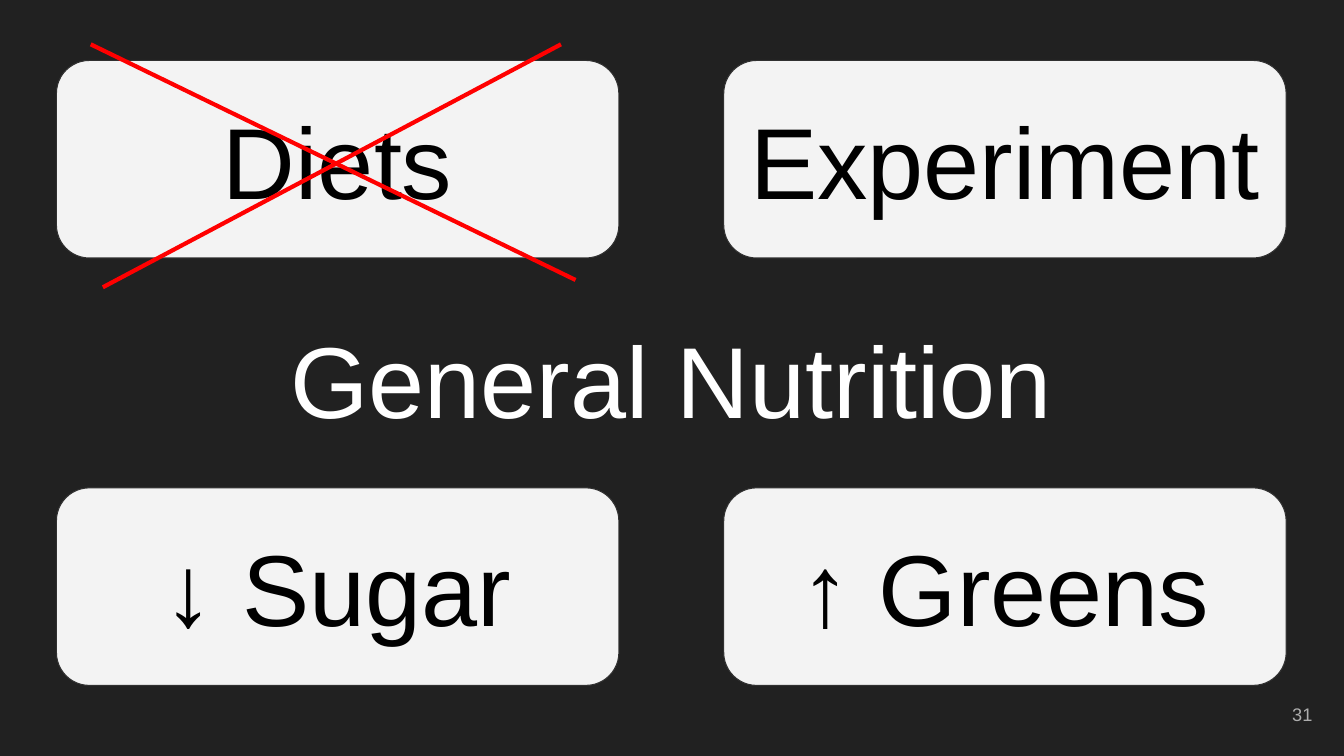
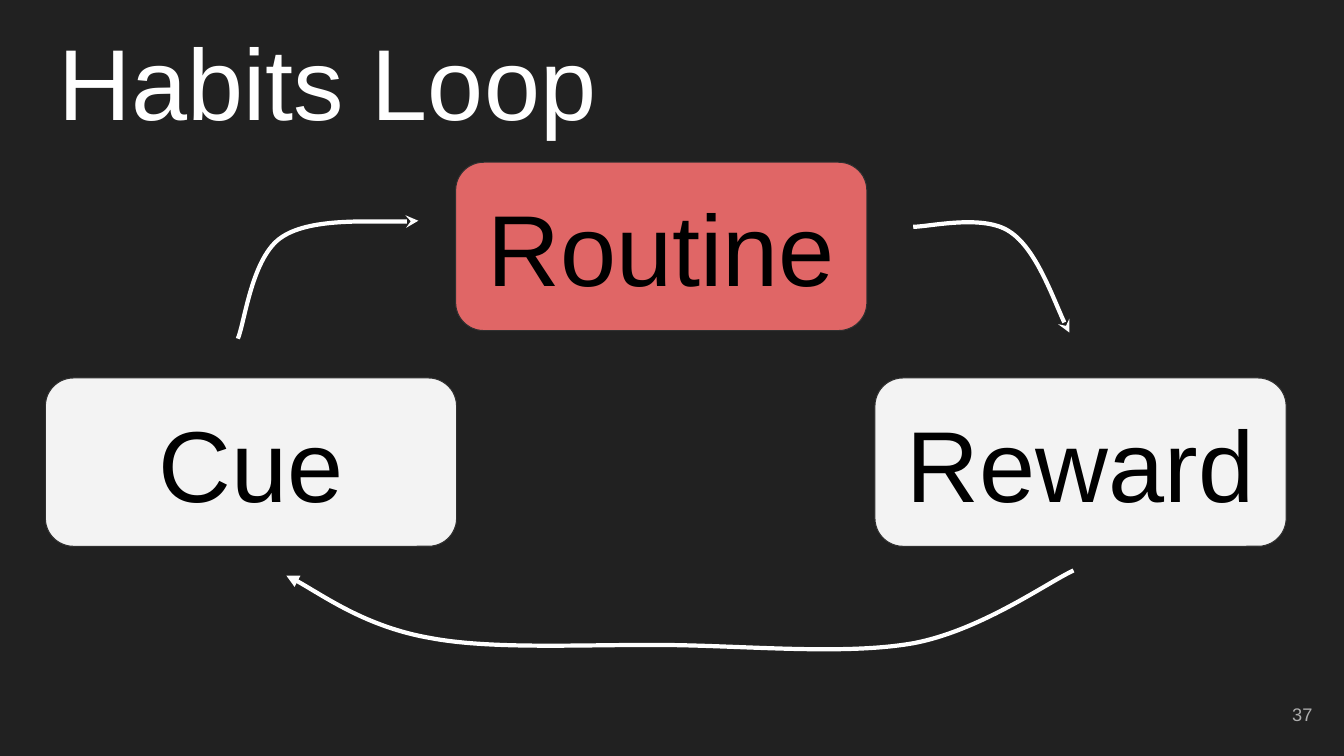
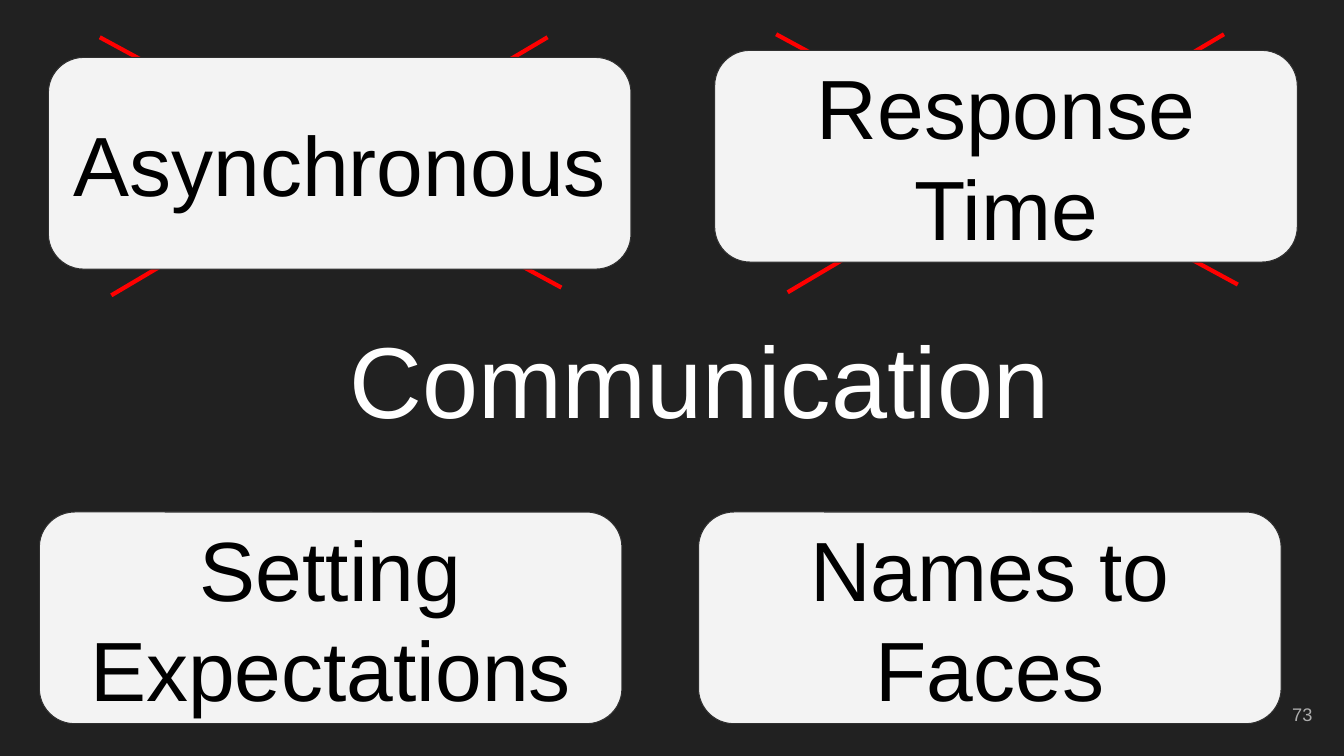
from lxml import etree
from pptx import Presentation
from pptx.dml.color import RGBColor
from pptx.enum.shapes import MSO_CONNECTOR, MSO_SHAPE
from pptx.enum.text import MSO_ANCHOR, MSO_AUTO_SIZE, PP_ALIGN
from pptx.oxml.ns import qn
from pptx.util import Inches, Pt

LEFT, CENTER, RIGHT = PP_ALIGN.LEFT, PP_ALIGN.CENTER, PP_ALIGN.RIGHT
MIDDLE, NO_FIT = MSO_ANCHOR.MIDDLE, MSO_AUTO_SIZE.NONE
ROUNDED, STRAIGHT = MSO_SHAPE.ROUNDED_RECTANGLE, MSO_CONNECTOR.STRAIGHT

COLUMNS, ROWS = 40, 22.5
CELL = Inches(1) / 3

FONT = "Arial"
DARK, WHITE, BLACK = "212121", "FFFFFF", "000000"
CARD_FILL, CARD_LINE, ACCENT = "F3F3F3", "303030", "E06666"
STRIKE, NUMBER_COLOR = "FF0000", "ADADAD"
TITLE_WIDTH, TITLE_HEIGHT = 37.26, 3.69
NUMBER_BOX = (37.05, 20.4, 2.4, 1.71)


def rgb(color):
    return RGBColor.from_string(color)


def grid(*cells):
    return [round(cell * CELL) for cell in cells]


def write(holder, text, size, color, align, inset):
    frame = holder.text_frame
    margin = Inches(inset)
    frame_format = {
        "word_wrap": True, "auto_size": NO_FIT, "vertical_anchor": MIDDLE,
        "margin_left": margin, "margin_right": margin,
        "margin_top": margin, "margin_bottom": margin,
    }
    for name, value in frame_format.items():
        setattr(frame, name, value)
    paragraph = frame.paragraphs[0]
    paragraph.alignment = align
    run = paragraph.add_run()
    run.text = text
    for name, value in {"name": FONT, "size": Pt(size)}.items():
        setattr(run.font, name, value)
    run.font.color.rgb = rgb(color)


def outline(item, color, width):
    item.line.color.rgb = rgb(color)
    item.line.width = Pt(width)


def start_slide(deck, title, corner, align, number):
    slide = deck.slides.add_slide(deck.slide_layouts[5])
    heading = slide.shapes.title
    place = grid(*corner, TITLE_WIDTH, TITLE_HEIGHT)
    for name, value in zip(("left", "top", "width", "height"), place):
        setattr(heading, name, value)
    write(heading, title, 72, WHITE, align, 0.13)
    page_number = slide.shapes.add_textbox(*grid(*NUMBER_BOX))
    write(page_number, number, 13, NUMBER_COLOR, RIGHT, 0.13)
    return slide


def add_card(slide, box, text, size, fill=CARD_FILL):
    card = slide.shapes.add_shape(ROUNDED, *grid(*box))
    card.adjustments[0] = 0.167
    card.shadow.inherit = False
    card.fill.solid()
    card.fill.fore_color.rgb = rgb(fill)
    outline(card, CARD_LINE, 0.75)
    write(card, text, size, BLACK, CENTER, 0.1)


def add_cross(slide, box):
    left, top, width, height = box
    for x1, y1, x2, y2 in ((0, 0, 1, 0.97), (0.025, 1, 0.97, 0)):
        ends = grid(left + x1 * width, top + y1 * height,
                    left + x2 * width, top + y2 * height)
        stroke = slide.shapes.add_connector(STRAIGHT, *ends)
        outline(stroke, STRIKE, 3)
        etree.SubElement(stroke._element.spPr, qn("a:effectLst"))


def add_curved_arrow(slide, box, points, head):
    start, *controls = [grid(box[0] + x, box[1] + y) for x, y in points]
    builder = slide.shapes.build_freeform(*start)
    builder.add_line_segments(controls, close=False)
    arrow = builder.convert_to_shape()
    arrow.shadow.inherit = False
    arrow.fill.background()
    outline(arrow, WHITE, 3)
    properties = arrow._element.spPr
    segments = list(properties.iter(qn("a:lnTo")))
    track = segments[0].getparent()
    for first in range(0, len(segments), 3):
        curve = etree.SubElement(track, qn("a:cubicBezTo"))
        for segment in segments[first:first + 3]:
            curve.append(segment[0])
            track.remove(segment)
    etree.SubElement(properties.find(qn("a:ln")), qn("a:tailEnd"), type=head)


def add_topic_cards(slide, cards, card_size, text_size):
    for corner, text in cards:
        add_card(slide, (*corner, *card_size), text, text_size)


def add_habit_loop(slide, box):
    steps = [
        (0.35, 7.25, "Cue", CARD_FILL),
        (12.56, 0.83, "Routine", ACCENT),
        (25.04, 7.25, "Reward", CARD_FILL),
    ]
    for x, y, text, fill in steps:
        add_card(slide, (box[0] + x, box[1] + y, 12.24, 5.01), text, 72, fill)
    cue_to_routine = [
        (6.08, 6.08), (6.29, 5.57), (6.5, 3.62), (7.4, 3.05),
        (8.3, 2.45), (10.79, 2.66), (11.45, 2.57),
    ]
    routine_to_reward = [
        (26.18, 2.75), (26.66, 2.75), (28.28, 2.36), (29.06, 2.9),
        (29.84, 3.41), (30.53, 5.39), (30.83, 5.9),
    ]
    reward_to_cue = [
        (30.95, 12.98), (30.17, 13.34), (28.22, 14.75), (26.21, 15.14),
        (24.2, 15.5), (21.35, 15.23), (18.95, 15.2),
        (16.55, 15.17), (13.7, 15.35), (11.81, 14.99),
        (9.89, 14.66), (8.24, 13.46), (7.52, 13.13),
    ]
    for points, head in ((cue_to_routine, "stealth"), (routine_to_reward, "stealth"),
                         (reward_to_cue, "triangle")):
        add_curved_arrow(slide, box, points, head)


def main():
    deck = Presentation()
    deck.slide_width, deck.slide_height = grid(COLUMNS, ROWS)
    backdrop = deck.slide_master.background.fill
    backdrop.solid()
    backdrop.fore_color.rgb = rgb(DARK)

    nutrition = start_slide(deck, "General Nutrition", (1.35, 9.42), CENTER, "31")
    add_topic_cards(nutrition, [
        ((1.68, 1.8), "Diets"),
        ((21.54, 1.8), "Experiment"),
        ((1.68, 14.52), "↓ Sugar"),
        ((21.54, 14.52), "↑ Greens"),
    ], (16.74, 5.88), 72)
    add_cross(nutrition, (2.7, 1.32, 14.43, 7.23))

    habits = start_slide(deck, "Habits Loop", (1.35, 0.54), LEFT, "37")
    add_habit_loop(habits, (1, 4))

    communication = start_slide(deck, "Communication", (2.19, 9.42), CENTER, "73")
    for corner in ((2.97, 1.11), (23.1, 1.02)):
        add_cross(communication, (*corner, 13.74, 7.68))
    add_topic_cards(communication, [
        ((1.44, 1.71), "Asynchronous"),
        ((21.27, 1.5), "Response Time"),
        ((1.17, 15.24), "Setting Expectations"),
        ((20.79, 15.24), "Names to Faces"),
    ], (17.34, 6.3), 60)

    deck.save("out.pptx")


if __name__ == "__main__":
    main()
